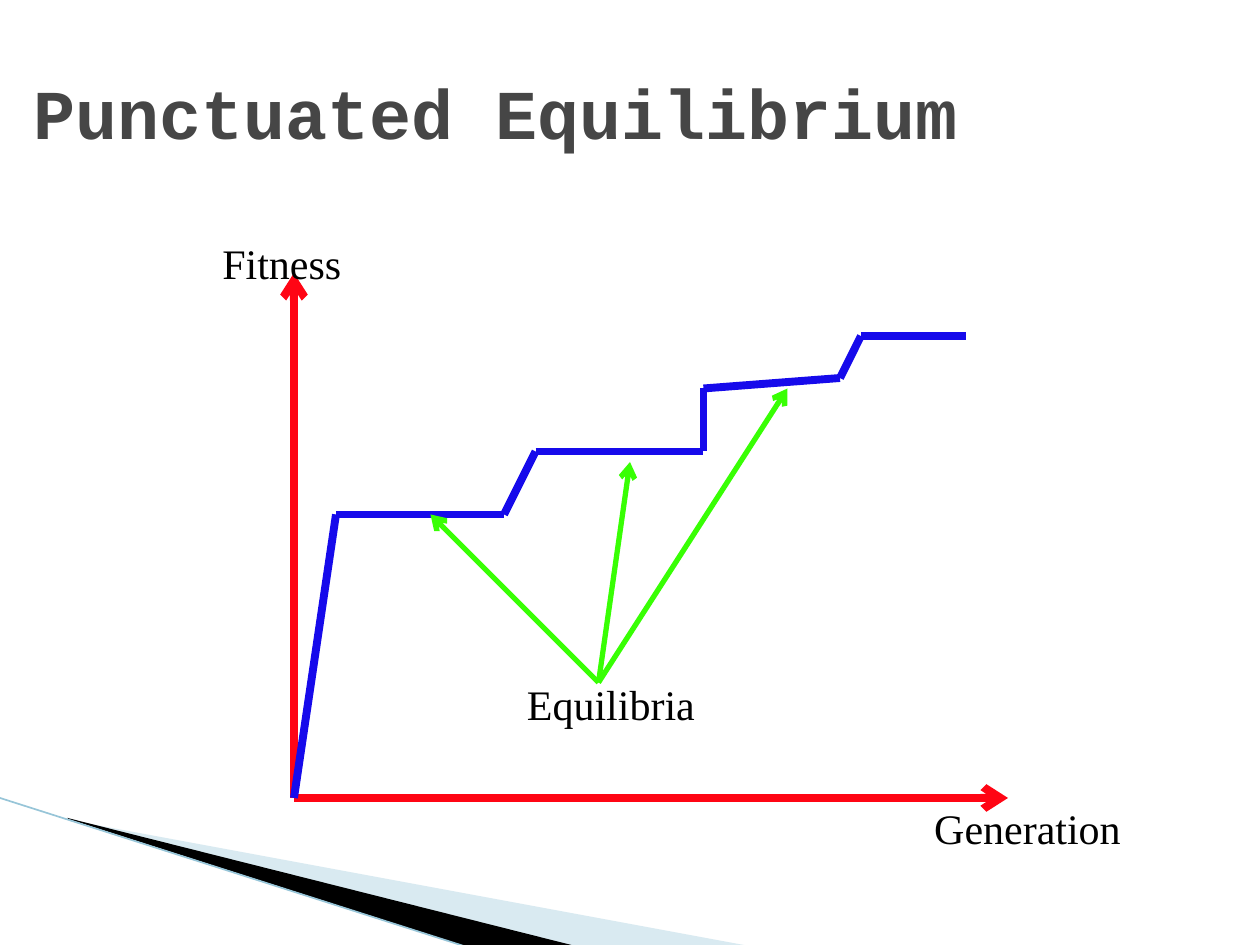
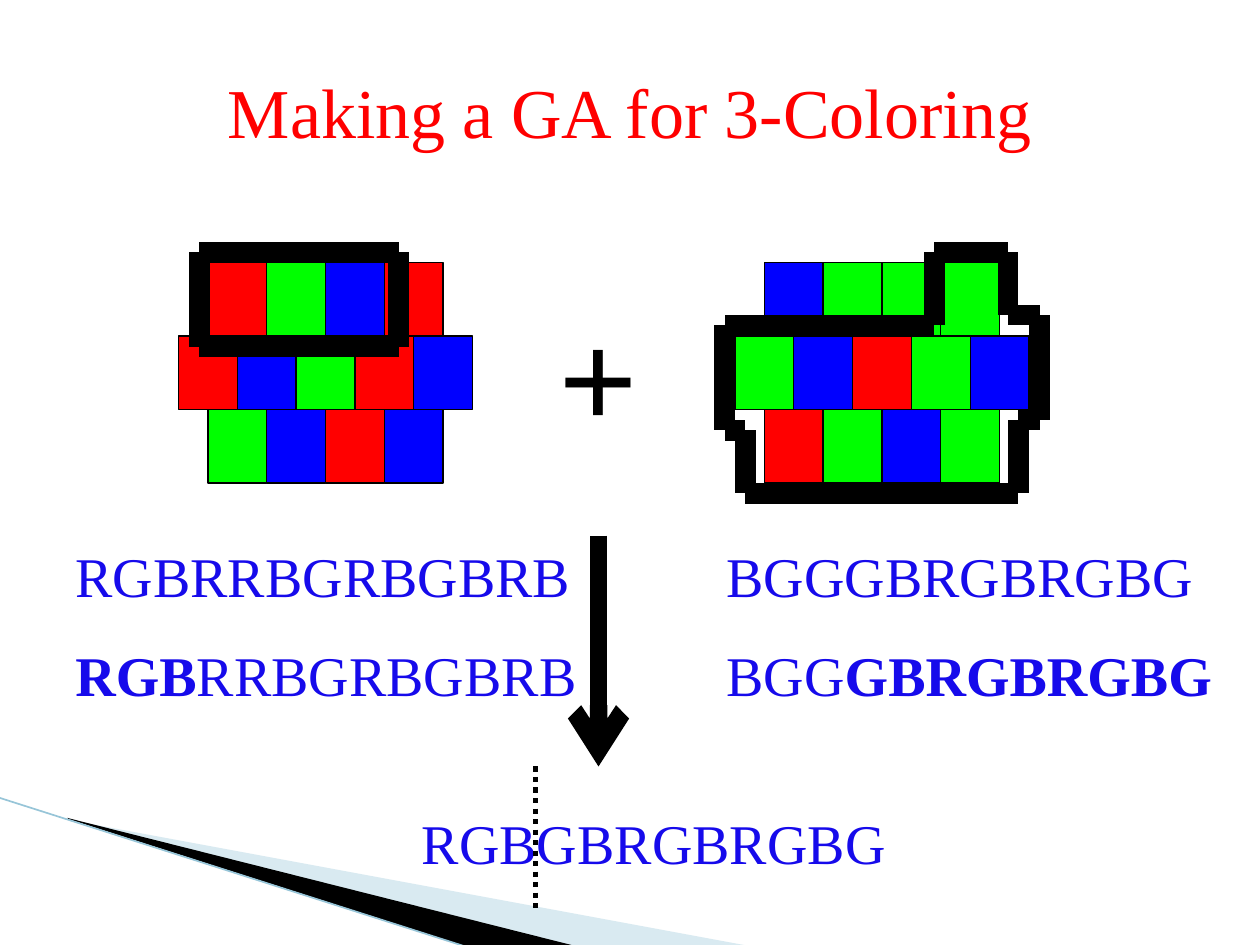
from itertools import pairwise

from lxml import etree
from pptx import Presentation
from pptx import util as u
from pptx.dml.color import RGBColor
from pptx.enum import dml, shapes, text
from pptx.oxml.ns import qn

COLS, ROWS = 120, 90
SERIF, MONO = "Times New Roman", "Courier New"
BLACK = RGBColor(0x00, 0x00, 0x00)
GREY = RGBColor(0x46, 0x46, 0x46)
RED = RGBColor(0xFF, 0x00, 0x00)
GREEN = RGBColor(0x00, 0xFF, 0x00)
BLUE = RGBColor(0x00, 0x00, 0xFF)
AXIS = RGBColor(0xFF, 0x05, 0x14)
INK = RGBColor(0x16, 0x0A, 0xEB)
POINTER = RGBColor(0x38, 0xFF, 0x04)
BAND = RGBColor(0xA0, 0xCB, 0xDC)
BAND_EDGE = RGBColor(0x97, 0xC5, 0xD8)
BRICKS = {"R": RED, "G": GREEN, "B": BLUE}


class Deck:
    """Draws styled elements on the current slide, measured in grid columns and rows."""

    def __init__(self):
        self.prs = Presentation()
        self.prs.slide_width, self.prs.slide_height = u.Inches(10), u.Inches(7.5)
        self.layout = self.prs.slide_layouts[5]
        self.s = None

    def x(self, cols):
        return round(self.prs.slide_width * cols / COLS)

    def y(self, rows):
        return round(self.prs.slide_height * rows / ROWS)

    def box(self, left, top, width, height):
        return self.x(left), self.y(top), self.x(width), self.y(height)

    def slide(self, title, box, font, color, bold, align):
        first = self.s is None
        self.s = self.prs.slides.add_slide(self.layout)
        if first:
            self.corner_band()
        sp = self.s.shapes.title
        sp.left, sp.top, sp.width, sp.height = self.box(*box)
        tf = sp.text_frame
        tf.text = title
        tf.word_wrap = True
        tf.auto_size = text.MSO_AUTO_SIZE.NONE
        tf.vertical_anchor = text.MSO_ANCHOR.MIDDLE
        tf.paragraphs[0].alignment = align
        self.style(tf.paragraphs[0].runs[0], 40, color, font, bold)

    def corner_band(self):
        parts = [
            self.outline([(6.6, 78.1), (71.4, 90.1), (54.7, 90.1), (6.6, 78)], BAND, 40),
            self.outline([(6.4, 77.9), (54.8, 90.1), (44.6, 90.2), (6.5, 78)], BLACK),
            self.line((0, 76), (44.5, 90.2), BAND_EDGE, 0.95),
        ]
        for sp in parts:
            self.layout.shapes.element.append(sp.element)

    def outline(self, points, color, opacity=100):
        start, *rest = [(self.x(px), self.y(py)) for px, py in points]
        builder = self.s.shapes.build_freeform(*start)
        builder.add_line_segments(rest, close=True)
        sp = builder.convert_to_shape()
        self.paint(sp, color)
        sp.line.fill.background()
        if opacity < 100:
            rgb = sp.element.spPr.find(qn("a:solidFill")).find(qn("a:srgbClr"))
            etree.SubElement(rgb, qn("a:alpha")).set("val", str(opacity * 1000))
        return sp

    def paint(self, sp, color):
        sp.shadow.inherit = False
        sp.fill.solid()
        sp.fill.fore_color.rgb = color

    def style(self, r, size, color, font=SERIF, bold=False):
        r.font.size, r.font.name, r.font.bold = u.Pt(size), font, bold
        r.font.color.rgb = color

    def label(self, box, size, color, *parts, bold=()):
        tf = self.s.shapes.add_textbox(*self.box(*box)).text_frame
        tf.word_wrap = False
        tf.auto_size = text.MSO_AUTO_SIZE.SHAPE_TO_FIT_TEXT
        for i, part in enumerate(parts):
            r = tf.paragraphs[0].add_run()
            r.text = part
            self.style(r, size, color, bold=i in bold)

    def line(self, start, end, color, width, arrow=False, dash=None):
        c = self.s.shapes.add_connector(
            shapes.MSO_CONNECTOR.STRAIGHT,
            self.x(start[0]), self.y(start[1]), self.x(end[0]), self.y(end[1]))
        c.line.color.rgb = color
        c.line.width = u.Pt(width)
        if dash:
            c.line.dash_style = dash
        spPr = c.element.spPr
        if arrow:
            etree.SubElement(spPr.find(qn("a:ln")), qn("a:tailEnd")).set("type", "arrow")
        etree.SubElement(spPr, qn("a:effectLst"))
        return c

    def polyline(self, points, color, width):
        for start, end in pairwise(points):
            self.line(start, end, color, width)

    def wall(self, left, top, rows, width=5.6, height=7):
        longest = max(map(len, rows))
        for j, row in enumerate(rows):
            indent = (longest - len(row)) / 2
            for i, letter in enumerate(row):
                sp = self.s.shapes.add_shape(
                    shapes.MSO_SHAPE.RECTANGLE,
                    *self.box(left + (i + indent) * width, top + j * height, width, height))
                self.paint(sp, BRICKS[letter])
                sp.line.color.rgb = BLACK
                sp.line.width = u.Pt(0.74)


def equilibrium_slide(d):
    d.slide("Punctuated Equilibrium", (2, 6, 102, 9.2), MONO, GREY, True, text.PP_ALIGN.LEFT)
    origin = (28, 76)
    for end in [(28, 26), (96, 76)]:
        d.line(origin, end, AXIS, 4.5, arrow=True)
    d.label((20, 22, 13.7, 6), 24, BLACK, "Fitness")
    d.label((87.8, 75.8, 20.2, 6), 24, BLACK, "Generation")
    d.polyline([origin, (32, 49), (48, 49), (51, 43), (67, 43), (67, 37),
                (80, 36), (82, 32), (92, 32)], INK, 4.5)
    for end in [(41, 49), (60, 44), (75, 37)]:
        d.line((57, 65), end, POINTER, 3, arrow=True)
    d.label((49, 64, 18.4, 6), 24, BLACK, "Equilibria")


def coloring_slide(d):
    d.slide("Making a GA for 3-Coloring", (0, 3, 120, 15), SERIF, RED, False,
            text.PP_ALIGN.CENTER)
    d.wall(17, 25, ["RGBR", "RBGRB", "GBRB"])
    d.wall(70, 25, ["BGGG", "GBRGB", "RGBG"])
    d.polyline([(89, 24), (89, 31), (69, 31), (69, 41), (71, 41), (71, 47), (97, 47),
                (97, 40), (99, 40), (99, 30), (96, 30), (96, 24), (89, 24)], BLACK, 12)
    d.polyline([(19, 24), (38, 24), (38, 33), (19, 33), (19, 24)], BLACK, 12)
    d.label((6, 51, 49.6, 7.7), 32, INK, "RGBRRBGRBGBRB")
    d.label((68, 51, 46.9, 7.7), 32, INK, "BGGGBRGBRGBG")
    d.label((6, 60.4, 50.2, 7.7), 32, INK, "RGB", "RRBGRBGBRB", bold=[0])
    d.label((68, 60.4, 48.7, 7.7), 32, INK, "BGG", "GBRGBRGBG", bold=[1])
    d.label((52, 27, 10, 17.3), 80, BLACK, "+", bold=[0])
    d.line((57, 51), (57, 73), BLACK, 10, arrow=True)
    d.label((39, 76.4, 46.6, 7.7), 32, INK, "RGBGBRGBRGBG")
    d.line((51, 73), (51, 87), BLACK, 3, dash=dml.MSO_LINE.ROUND_DOT)


deck = Deck()
equilibrium_slide(deck)
coloring_slide(deck)
deck.prs.save("out.pptx")
